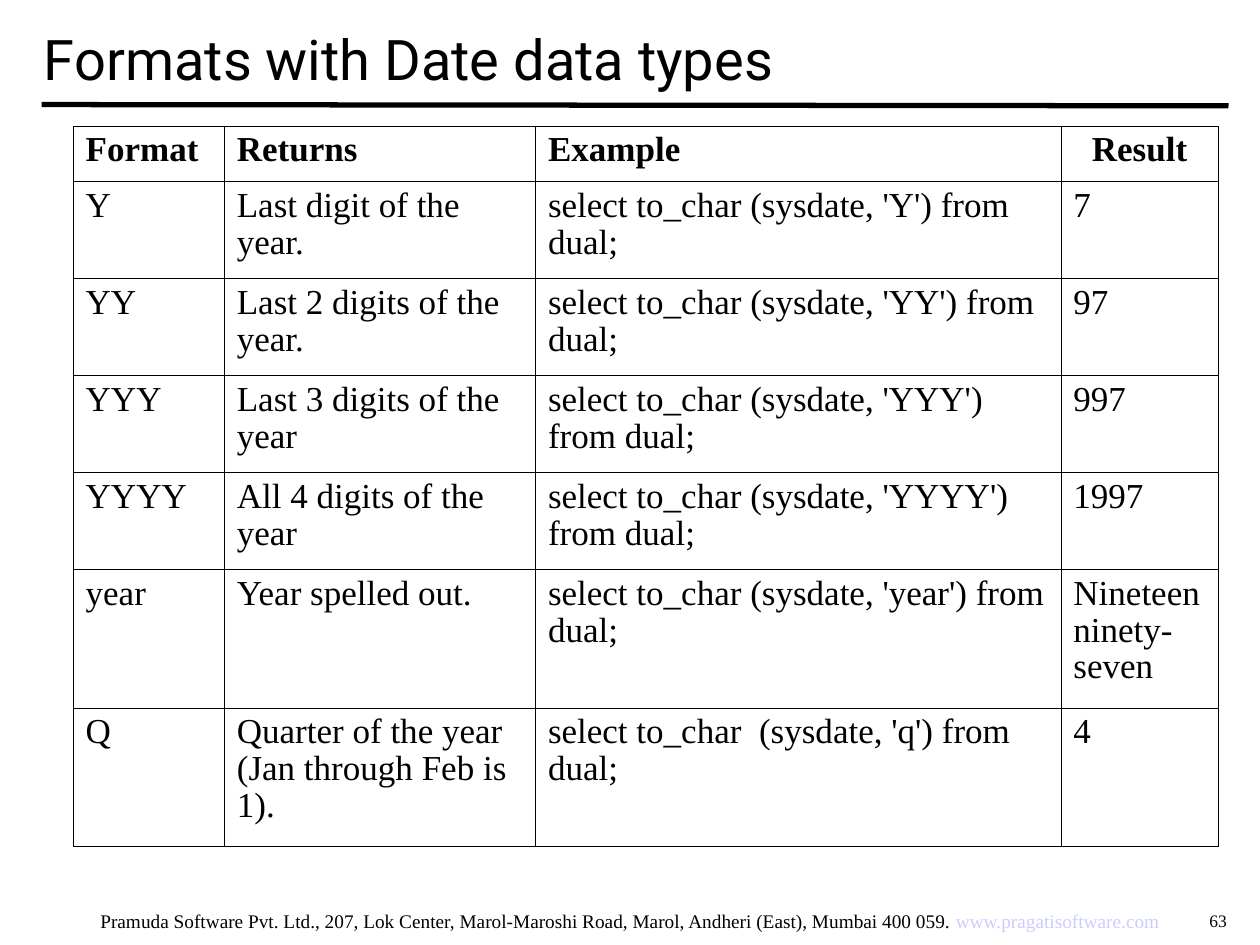
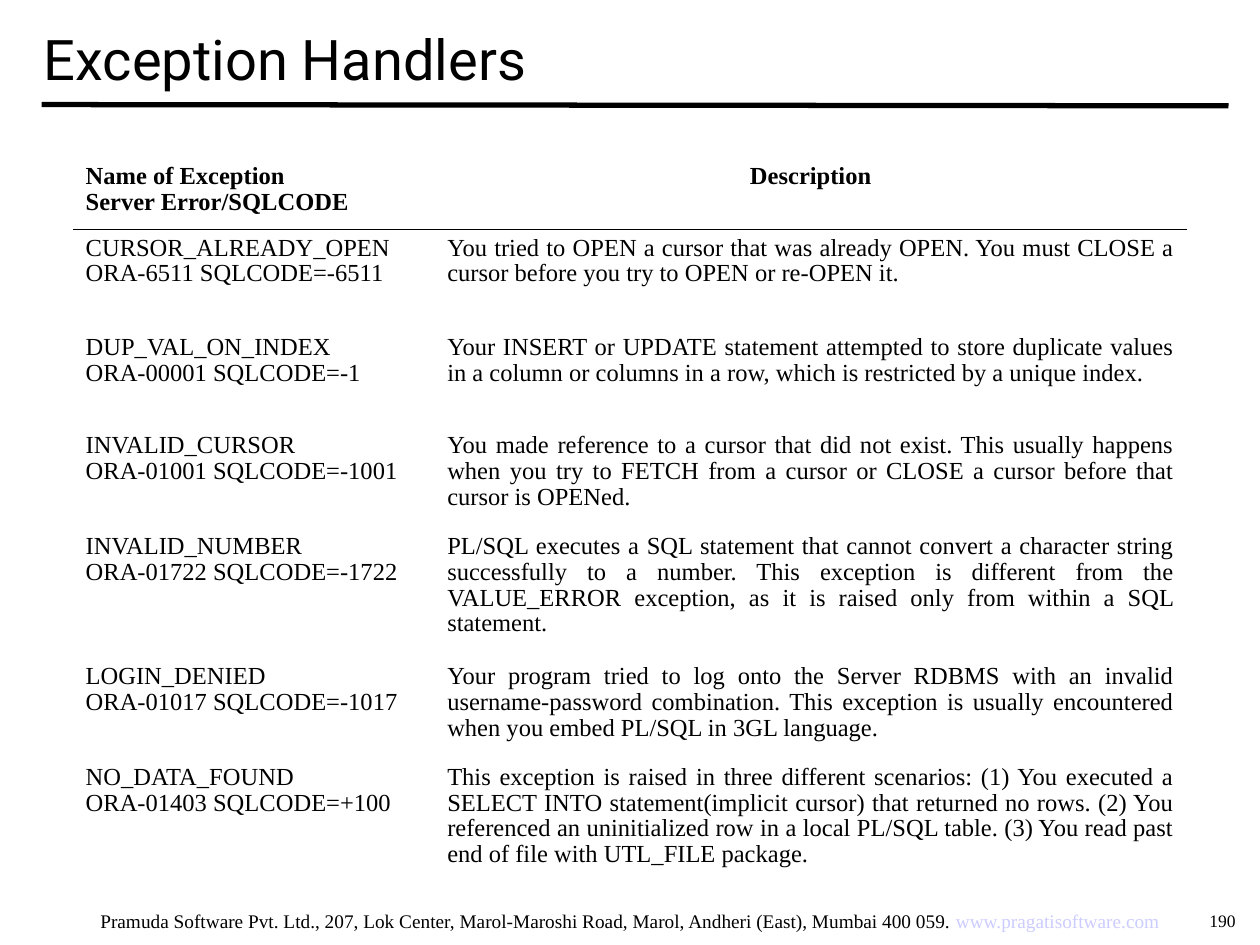
from lxml.etree import SubElement
from pptx import Presentation
from pptx.dml.color import RGBColor
from pptx.enum.shapes import MSO_CONNECTOR
from pptx.enum.text import MSO_ANCHOR, PP_ALIGN
from pptx.oxml.ns import qn
from pptx.util import Inches, Pt

GRID_COLUMNS, GRID_ROWS = 100, 75
UNIT = Inches(10) / GRID_COLUMNS
BLACK, LINK = "000000", "CCCCFF"
SERIF, SANS = "Times New Roman", "Roboto"
LEFT, CENTER, JUSTIFY = PP_ALIGN.LEFT, PP_ALIGN.CENTER, PP_ALIGN.JUSTIFY
BORDER_WIDTH = Pt(0.23)
ADDRESS = ("Pramuda Software Pvt. Ltd., 207, Lok Center, Marol-Maroshi Road, "
           "Marol, Andheri (East), Mumbai 400 059. ")
WEBSITE = "www.pragatisoftware.com"

DATE_HEADINGS = ("Format", "Returns", "Example", "Result")
DATE_FORMATS = [
    ("Y", "Last digit of the year.", "select to_char (sysdate, 'Y') from dual;", "7"),
    ("YY", "Last 2 digits of the year.", "select to_char (sysdate, 'YY') from dual;", "97"),
    ("YYY", "Last 3 digits of the year", "select to_char (sysdate, 'YYY') from dual;", "997"),
    ("YYYY", "All 4 digits of the year", "select to_char (sysdate, 'YYYY') from dual;", "1997"),
    ("year", "Year spelled out.", "select to_char (sysdate, 'year') from dual;",
     "Nineteen ninety-seven"),
    ("Q", "Quarter of the year (Jan through Feb is 1).",
     "select to_char  (sysdate, 'q') from dual;", "4"),
]

EXCEPTION_HEADINGS = ("Name of Exception\nServer Error/SQLCODE", "Description")
EXCEPTIONS = [
    ("CURSOR_ALREADY_OPEN\nORA-6511 SQLCODE=-6511",
     "You tried to OPEN a cursor that was already OPEN. You must CLOSE a cursor "
     "before you try to OPEN or re-OPEN it."),
    ("DUP_VAL_ON_INDEX\nORA-00001 SQLCODE=-1",
     "Your INSERT or UPDATE statement attempted to store duplicate values in a "
     "column or columns in a row, which is restricted by a unique index."),
    ("INVALID_CURSOR\nORA-01001 SQLCODE=-1001",
     "You made reference to a cursor that did not exist. This usually happens when "
     "you try to FETCH from a cursor or CLOSE a cursor before that cursor is OPENed."),
    ("INVALID_NUMBER\nORA-01722 SQLCODE=-1722",
     "PL/SQL executes a SQL statement that cannot convert a character string "
     "successfully to a number. This exception is different from the VALUE_ERROR "
     "exception, as it is raised only from within a SQL statement."),
    ("LOGIN_DENIED\nORA-01017 SQLCODE=-1017",
     "Your program tried to log onto the Server RDBMS with an invalid "
     "username-password combination. This exception is usually encountered when you "
     "embed PL/SQL in 3GL language."),
    ("NO_DATA_FOUND\nORA-01403 SQLCODE=+100",
     "This exception is raised in three different scenarios: (1) You executed a "
     "SELECT INTO statement(implicit cursor) that returned no rows. (2) You referenced "
     "an uninitialized row in a local PL/SQL table. (3) You read past end of file with "
     "UTL_FILE package."),
]


def grid(*counts):
    """Turn counts of grid columns or rows into lengths."""
    return [round(count * UNIT) for count in counts]


def color(hex_string):
    return RGBColor.from_string(hex_string)


def format_run(run, hex_color=BLACK, **values):
    for name, value in values.items():
        setattr(run.font, name, value)
    run.font.color.rgb = color(hex_color)


def add_text(slide, box, pieces, size, font=SERIF, align=LEFT, anchor=MSO_ANCHOR.TOP):
    """Add one paragraph made of (text, colour) pieces."""
    frame = slide.shapes.add_textbox(*grid(*box)).text_frame
    frame.word_wrap = True
    frame.vertical_anchor = anchor
    paragraph = frame.paragraphs[0]
    paragraph.alignment = align
    for text, hex_color in pieces:
        run = paragraph.add_run()
        run.text = text
        format_run(run, hex_color, name=font, size=Pt(size))


def add_rule(slide):
    rule = slide.shapes.add_connector(MSO_CONNECTOR.STRAIGHT, *grid(3.3, 8.3, 97.5, 8.4))
    rule.line.color.rgb = color(BLACK)
    rule.line.width = Pt(3)
    SubElement(rule._element.spPr, qn("a:effectLst"))


def add_framed_slide(presentation, title, number):
    """Add a slide with the shared rule, footer, page number and title."""
    slide = presentation.slides.add_slide(presentation.slide_layouts[6])
    add_rule(slide)
    add_text(slide, (0, 71.7, 100, 2.9), [(ADDRESS, BLACK), (WEBSITE, LINK)], 11, align=CENTER)
    add_text(slide, (95, 71.7, 5, 2.7), [(str(number), BLACK)], 10)
    add_text(slide, (2.5, 0, 95, 9.2), [(title, BLACK)], 32, SANS, anchor=MSO_ANCHOR.MIDDLE)
    return slide


def set_borders(cell, sides):
    """Draw the named sides (L, R, T, B) and clear the others."""
    properties = cell._tc.get_or_add_tcPr()
    for side in "LRTB":
        line = SubElement(properties, qn(f"a:ln{side}"), w=str(BORDER_WIDTH))
        if side in sides:
            fill = SubElement(line, qn("a:solidFill"))
            SubElement(fill, qn("a:srgbClr"), val=BLACK)
        else:
            SubElement(line, qn("a:noFill"))


def fill_cell(cell, text, size, bold, align, sides):
    set_borders(cell, sides)
    cell.fill.background()
    paragraph = cell.text_frame.paragraphs[0]
    paragraph.text = text
    paragraph.alignment = align
    paragraph.line_spacing = 0.95
    for run in paragraph.runs:
        format_run(run, name=SERIF, size=Pt(size), bold=bold)
    for line_break in paragraph._p.findall(qn("a:br")):
        SubElement(line_break, qn("a:rPr"), sz=str(size * 100))


def add_grid_table(slide, top, widths, heights, rows, size, heading_aligns, body_aligns,
                   heading_sides, sides_by_row):
    """Add a table; sides_by_row gives the borders of a body row from its index."""
    box = grid(5.8, top, sum(widths), sum(heights))
    table = slide.shapes.add_table(len(rows), len(widths), *box).table
    table.first_row = table.horz_banding = False
    for column, width in zip(table.columns, grid(*widths)):
        column.width = width
    for index, (row, height, texts) in enumerate(zip(table.rows, grid(*heights), rows)):
        row.height = height
        heading = index == 0
        aligns = heading_aligns if heading else body_aligns
        sides = heading_sides if heading else sides_by_row(index)
        for cell, text, align in zip(row.cells, texts, aligns):
            fill_cell(cell, text, size, heading, align, sides)


def add_date_formats(presentation):
    slide = add_framed_slide(presentation, "Formats with Date data types", 63)
    add_grid_table(
        slide, 10, (12, 24.7, 41.7, 12.5), [4.4] + [7.7] * 4 + [11] * 2,
        [DATE_HEADINGS] + DATE_FORMATS, 20,
        (LEFT, LEFT, LEFT, CENTER), [LEFT] * 4, "LRTB", lambda index: "LRTB")


def add_exception_handlers(presentation):
    slide = add_framed_slide(presentation, "Exception Handlers", 190)
    add_grid_table(
        slide, 12.5, (28.7, 59.7), (5.7, 7.9, 7.8, 8, 10.3, 8, 10.3),
        [EXCEPTION_HEADINGS] + EXCEPTIONS, 14,
        (LEFT, CENTER), (LEFT, JUSTIFY), "B", lambda index: "T" if index == 1 else "")


def main():
    presentation = Presentation()
    presentation.slide_width, presentation.slide_height = grid(GRID_COLUMNS, GRID_ROWS)
    add_date_formats(presentation)
    add_exception_handlers(presentation)
    presentation.save("out.pptx")


if __name__ == "__main__":
    main()
